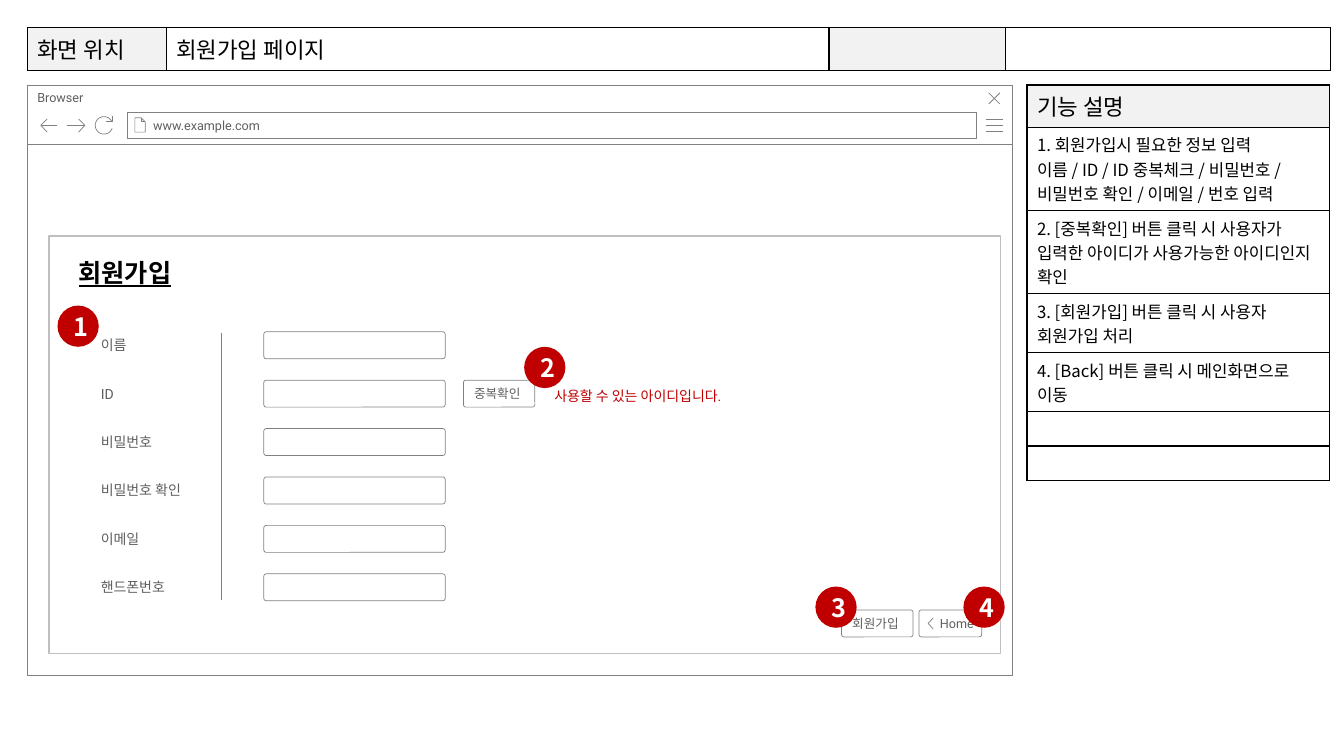
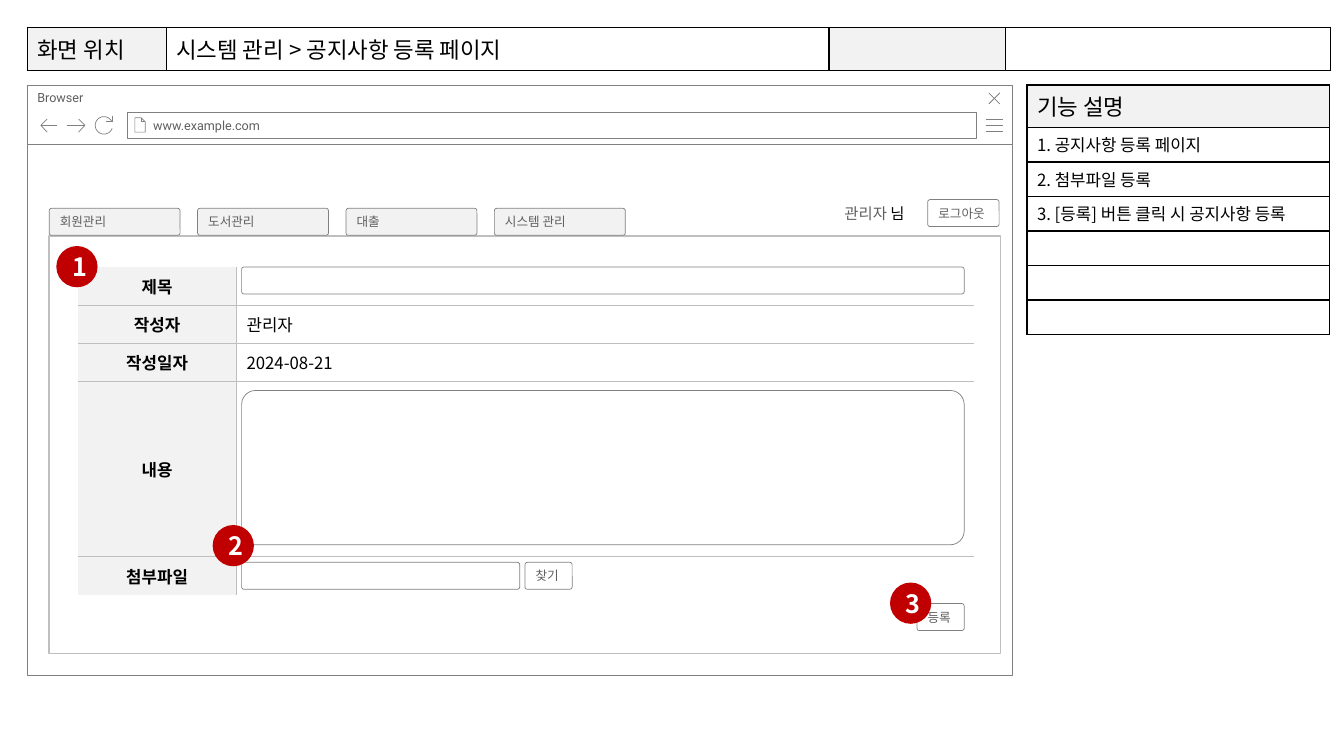
from dataclasses import dataclass
from math import cos, radians, sin
from typing import Optional

from lxml.etree import SubElement
from pptx import Presentation
from pptx.dml.color import RGBColor
from pptx.enum.shapes import MSO_CONNECTOR, MSO_SHAPE
from pptx.enum.text import MSO_ANCHOR, PP_ALIGN
from pptx.oxml.ns import qn
from pptx.util import Cm, Pt


# Theme: colours, fonts and type sizes
@dataclass(frozen=True)
class Theme:
    black: str = "000000"
    white: str = "FFFFFF"
    grey_text: str = "5F5F5F"
    outline: str = "808080"
    rule: str = "BFBFBF"
    shade: str = "F2F2F2"
    accent: str = "C00000"
    main_font: str = "Noto Sans CJK KR"
    wire_font: str = "Roboto"
    heading: int = 18
    bar: int = 16
    body: int = 12
    user: int = 11
    label: int = 10
    control: int = 9


THEME = Theme()


@dataclass(frozen=True)
class TextStyle:
    size: int
    color: str = THEME.black
    font: str = THEME.main_font
    bold: bool = False
    underline: bool = False


BAR = TextStyle(THEME.bar)
BODY = TextStyle(THEME.body)
BODY_BOLD = TextStyle(THEME.body, bold=True)
HEADING = TextStyle(THEME.heading, bold=True, underline=True)
BADGE = TextStyle(THEME.heading, THEME.white, bold=True)
LABEL = TextStyle(THEME.label, THEME.grey_text, THEME.wire_font)
MESSAGE = TextStyle(THEME.label, THEME.accent, THEME.wire_font)
CONTROL = TextStyle(THEME.control, THEME.grey_text, THEME.wire_font)
USER = TextStyle(THEME.user, THEME.grey_text, THEME.wire_font)
USER_SUFFIX = TextStyle(THEME.user)


# Wireframe parts; all lengths are centimetres
@dataclass(frozen=True)
class Box:
    left: float
    top: float
    width: float
    height: float = 0.68

    def lengths(self) -> tuple:
        return Cm(self.left), Cm(self.top), Cm(self.width), Cm(self.height)


@dataclass(frozen=True)
class Control:
    box: Box
    text: str = ""
    fill: str = THEME.white
    inset: float = 0.25


@dataclass(frozen=True)
class Badge:
    left: float
    top: float


@dataclass(frozen=True)
class Cell:
    text: str = ""
    style: TextStyle = BODY
    fill: Optional[str] = None
    align: Optional[PP_ALIGN] = None


ICONS = [
    # menu, close, document, back, forward
    [[(24.84, y), (25.27, y)] for y in (3.0, 3.15, 3.3)],
    [[(25.2, 2.34), (24.92, 2.62)], [(24.92, 2.34), (25.2, 2.62)]],
    [[(3.56, 2.97), (3.56, 3.07), (3.66, 3.07)],
     [(3.56, 2.97), (3.4, 2.97), (3.4, 3.33), (3.66, 3.33), (3.66, 3.07), (3.56, 2.97)]],
    [[(1.19, 3.33), (1.03, 3.16), (1.19, 3.0)], [(1.03, 3.16), (1.45, 3.16)]],
    [[(1.98, 3.0), (2.14, 3.16), (1.98, 3.33)], [(2.14, 3.16), (1.7, 3.16)]],
    # reload
    [[(2.82, 2.92), (2.82, 3.05), (2.67, 3.05)],
     [(2.62 + 0.22 * cos(radians(a)), 3.16 + 0.22 * sin(radians(a)))
      for a in range(20, 331, 10)]],
]


# Text
def apply(target, values: dict) -> None:
    for name, value in values.items():
        setattr(target, name, value)


def add_span(para, text: str, style: TextStyle) -> None:
    span = para.add_run()
    span.text = text
    span.font.color.rgb = RGBColor.from_string(style.color)
    apply(span.font, {"size": Pt(style.size), "name": style.font,
                      "bold": style.bold, "underline": style.underline})
    SubElement(span.font._element, qn("a:ea"), typeface=THEME.main_font)


def write(frame, text: str, style: TextStyle, align: Optional[PP_ALIGN] = None) -> None:
    for index, line in enumerate(text.split("\n")):
        para = frame.add_paragraph() if index else frame.paragraphs[0]
        para.alignment = align
        if line:
            add_span(para, line, style)
        else:
            SubElement(para._p, qn("a:endParaRPr"), sz=str(style.size * 100))


def add_text(page, box: Box, *spans: tuple):
    frame = page.shapes.add_textbox(*box.lengths()).text_frame
    frame.word_wrap = True
    for text, style in spans:
        add_span(frame.paragraphs[0], text, style)


# Shapes
def paint(shape, fill: Optional[str], line: Optional[str], weight: float = 0.5) -> None:
    shape.shadow.inherit = False
    for part, color in ((shape.fill, fill), (shape.line.fill, line)):
        if color is None:
            part.background()
        else:
            part.solid()
            part.fore_color.rgb = RGBColor.from_string(color)
    if line:
        shape.line.width = Pt(weight)


def add_rectangle(page, box: Box, fill: Optional[str] = THEME.white,
                  line: str = THEME.outline, weight: float = 0.5):
    shape = page.shapes.add_shape(MSO_SHAPE.RECTANGLE, *box.lengths())
    paint(shape, fill, line, weight)
    return shape


def set_caption(shape, text: str, anchor: MSO_ANCHOR, inset: float) -> None:
    frame = shape.text_frame
    apply(frame, {"word_wrap": True, "vertical_anchor": anchor,
                  "margin_left": Cm(inset), "margin_right": Cm(0)})
    write(frame, text, CONTROL, PP_ALIGN.LEFT)


def add_control(page, control: Control) -> None:
    shape = page.shapes.add_shape(MSO_SHAPE.ROUNDED_RECTANGLE, *control.box.lengths())
    shape.adjustments[0] = 0.09
    paint(shape, control.fill, THEME.outline)
    if control.text:
        set_caption(shape, control.text, MSO_ANCHOR.MIDDLE, control.inset)


def add_strokes(page, strokes: list) -> None:
    points = [[(Cm(x), Cm(y)) for x, y in stroke] for stroke in strokes]
    builder = page.shapes.build_freeform(*points[0][0])
    for index, stroke in enumerate(points):
        if index:
            builder.move_to(*stroke[0])
        builder.add_line_segments(stroke[1:], close=False)
    paint(builder.convert_to_shape(), None, THEME.outline)


def add_line(page, x1: float, y1: float, x2: float, y2: float) -> None:
    line = page.shapes.add_connector(MSO_CONNECTOR.STRAIGHT, Cm(x1), Cm(y1), Cm(x2), Cm(y2))
    line.line.color.rgb = RGBColor.from_string(THEME.outline)
    line.line.width = Pt(0.5)
    SubElement(line._element.spPr, qn("a:effectLst"))


def add_badges(page, badges: list) -> None:
    for number, badge in enumerate(badges, 1):
        box = Box(badge.left, badge.top, 1.04, 1.04)
        shape = page.shapes.add_shape(MSO_SHAPE.OVAL, *box.lengths())
        paint(shape, THEME.accent, None)
        shape.text_frame.vertical_anchor = MSO_ANCHOR.MIDDLE
        write(shape.text_frame, str(number), BADGE, PP_ALIGN.CENTER)


# Tables
def set_border(cell, edge: str, color: Optional[str]) -> None:
    line = SubElement(cell._tc.get_or_add_tcPr(), qn(f"a:ln{edge}"), w=str(Pt(1)))
    if color:
        SubElement(SubElement(line, qn("a:solidFill")), qn("a:srgbClr"), val=color)
    else:
        SubElement(line, qn("a:noFill"))


def add_grid(page, left: float, top: float, widths: list, heights: list, rows: list,
             line: str, outer: bool = True, anchor: MSO_ANCHOR = MSO_ANCHOR.TOP) -> None:
    box = Box(left, top, sum(widths), sum(heights))
    table = page.shapes.add_table(len(rows), len(widths), *box.lengths()).table
    apply(table, {"first_row": False, "horz_banding": False})
    for column, width in zip(table.columns, widths):
        column.width = Cm(width)
    for r, (row, height) in enumerate(zip(rows, heights)):
        table.rows[r].height = Cm(height)
        for c, content in enumerate(row):
            cell = table.cell(r, c)
            cell.vertical_anchor = anchor
            write(cell.text_frame, content.text, content.style, content.align)
            inner = {"L": c > 0, "R": c < len(widths) - 1,
                     "T": r > 0, "B": r < len(rows) - 1}
            for edge, inside in inner.items():
                set_border(cell, edge, line if outer or inside else None)
            if content.fill:
                cell.fill.solid()
                cell.fill.fore_color.rgb = RGBColor.from_string(content.fill)
            else:
                cell.fill.background()


# Parts shared by every page
def add_page(deck, location: str, notes: list):
    page = deck.slides.add_slide(deck.slide_layouts[6])
    add_rectangle(page, Box(0.69, 3.64, 24.82, 13.38))
    header = add_rectangle(page, Box(0.69, 2.14, 24.82, 1.5))
    set_caption(header, "Browser", MSO_ANCHOR.TOP, 0.25)
    address = add_rectangle(page, Box(3.2, 2.82, 21.41))
    set_caption(address, "www.example.com", MSO_ANCHOR.MIDDLE, 0.66)
    for icon in ICONS:
        add_strokes(page, icon)
    note_rows = [[Cell("기능 설명", BAR, THEME.shade)]]
    note_rows += [[Cell(note)] for note in notes]
    add_grid(page, 25.88, 2.14, [7.62], [1.07] + [0.87] * len(notes), note_rows, THEME.black)
    add_grid(page, 0.69, 0.69, [3.5, 16.7, 4.45, 8.2], [1.08],
             [[Cell("화면 위치", BAR, THEME.shade), Cell(location, BAR),
               Cell("", BAR, THEME.shade), Cell("", BAR)]], THEME.black)
    add_rectangle(page, Box(1.24, 5.95, 23.98, 10.52), None, THEME.rule, 1)
    return page


# Sign-up page
def build_sign_up(deck) -> None:
    page = add_page(deck, "회원가입 페이지", [
        "1. 회원가입시 필요한 정보 입력\n"
        "이름 / ID / ID 중복체크 / 비밀번호 / 비밀번호 확인 / 이메일 / 번호 입력",
        "2. [중복확인] 버튼 클릭 시 사용자가 입력한 아이디가 사용가능한 아이디인지 확인",
        "3. [회원가입] 버튼 클릭 시 사용자 회원가입 처리",
        "4. [Back] 버튼 클릭 시 메인화면으로 이동", "", ""])
    add_text(page, Box(1.73, 6.35, 3.07, 1.02), ("회원가입", HEADING))
    labels = ["이름", "ID", "비밀번호", "비밀번호 확인", "이메일", "핸드폰번호"]
    for index, label in enumerate(labels):
        top = 8.36 + 1.22 * index
        add_text(page, Box(2.29, top, 2.82), (label, LABEL))
        add_control(page, Control(Box(6.65, top, 4.57)))
    add_line(page, 5.59, 8.38, 5.59, 15.11)
    for control in (Control(Box(11.68, 9.58, 1.8), "중복확인"),
                    Control(Box(21.21, 15.37, 1.8), "회원가입"),
                    Control(Box(23.16, 15.37, 1.58), "Home", inset=0.51)):
        add_control(page, control)
    add_strokes(page, [[(23.52, 15.85), (23.39, 15.71), (23.52, 15.57)]])
    add_badges(page, [Badge(1.45, 7.7), Badge(13.21, 8.74),
                      Badge(20.55, 14.78), Badge(24.28, 14.78)])
    add_text(page, Box(13.72, 9.63, 5.89), ("사용할 수 있는 아이디입니다.", MESSAGE))


# Notice entry page
def build_notice(deck) -> None:
    page = add_page(deck, "시스템 관리 > 공지사항 등록 페이지", [
        "1. 공지사항 등록 페이지", "2. 첨부파일 등록",
        "3. [등록] 버튼 클릭 시 공지사항 등록", "", "", ""])
    add_text(page, Box(21.03, 5.03, 2.51, 0.74), ("관리자 ", USER), ("님", USER_SUFFIX))
    for index, tab in enumerate(["회원관리", "도서관리", "대출", "시스템 관리"]):
        add_control(page, Control(Box(1.24 + 3.74 * index, 5.25, 3.3), tab, THEME.shade))
    fields = [("제목", ""), ("작성자", "관리자"), ("작성일자", "2024-08-21"),
              ("내용", ""), ("첨부파일", "")]
    rows = [[Cell(name, BODY_BOLD, THEME.shade, PP_ALIGN.CENTER), Cell(value)]
            for name, value in fields]
    add_grid(page, 1.96, 6.73, [4.0, 18.59], [0.96, 0.96, 0.96, 4.42, 0.96], rows,
             THEME.rule, outer=False, anchor=MSO_ANCHOR.MIDDLE)
    for control in (Control(Box(23.38, 5.03, 1.8), "로그아웃"),
                    Control(Box(6.09, 6.73, 18.21)),
                    Control(Box(6.09, 9.84, 18.21, 3.89)),
                    Control(Box(6.09, 14.17, 7.01)),
                    Control(Box(13.23, 14.17, 1.19), "찾기"),
                    Control(Box(23.11, 15.21, 1.19), "등록")):
        add_control(page, control)
    add_badges(page, [Badge(1.42, 6.2), Badge(5.36, 13.23), Badge(22.43, 14.68)])


def main() -> None:
    deck = Presentation()
    apply(deck, {"slide_width": Cm(33.87), "slide_height": Cm(19.05)})
    build_sign_up(deck)
    build_notice(deck)
    deck.save("out.pptx")


if __name__ == "__main__":
    main()
